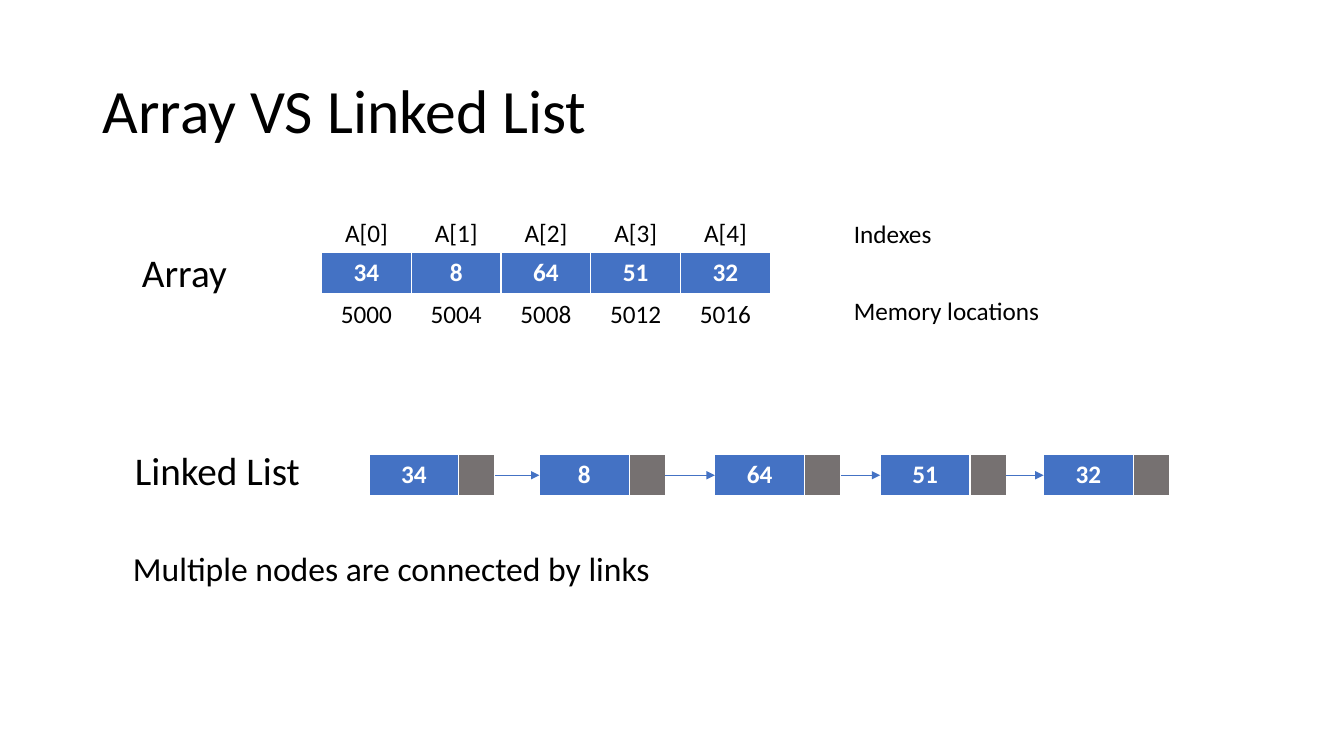
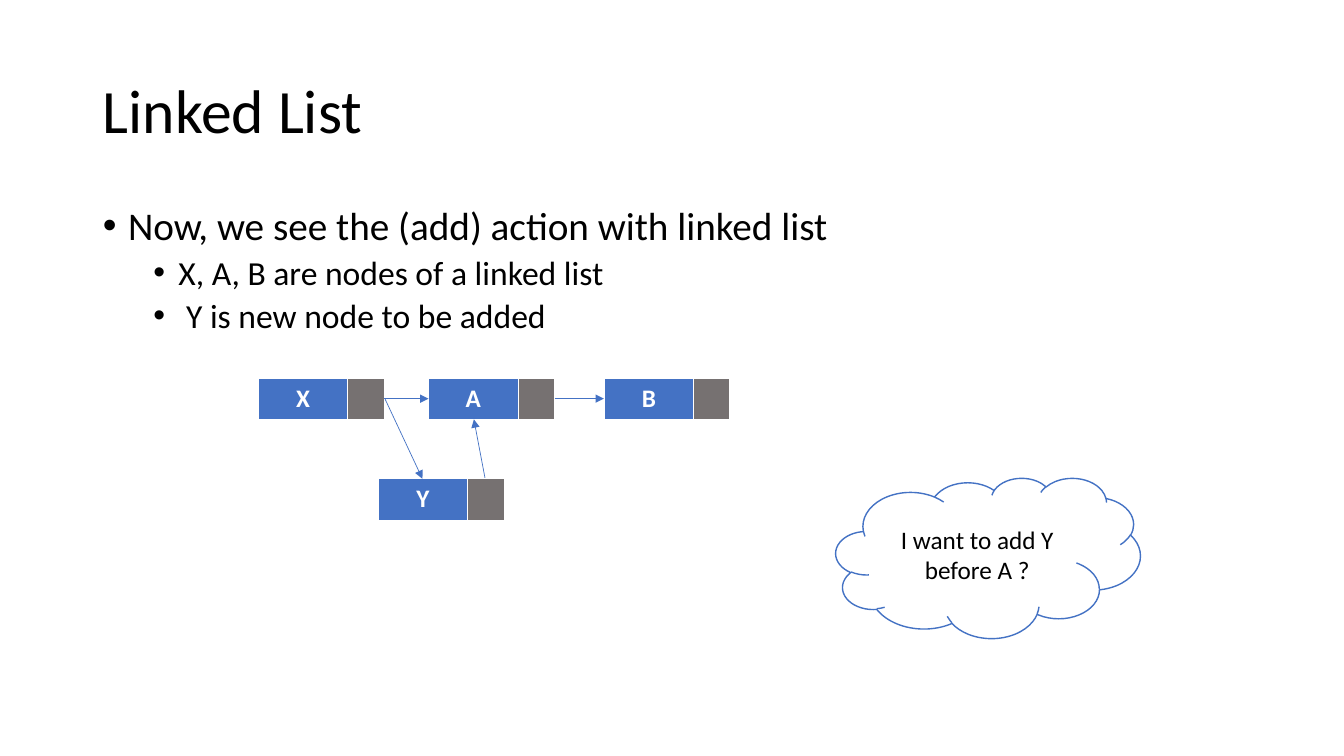
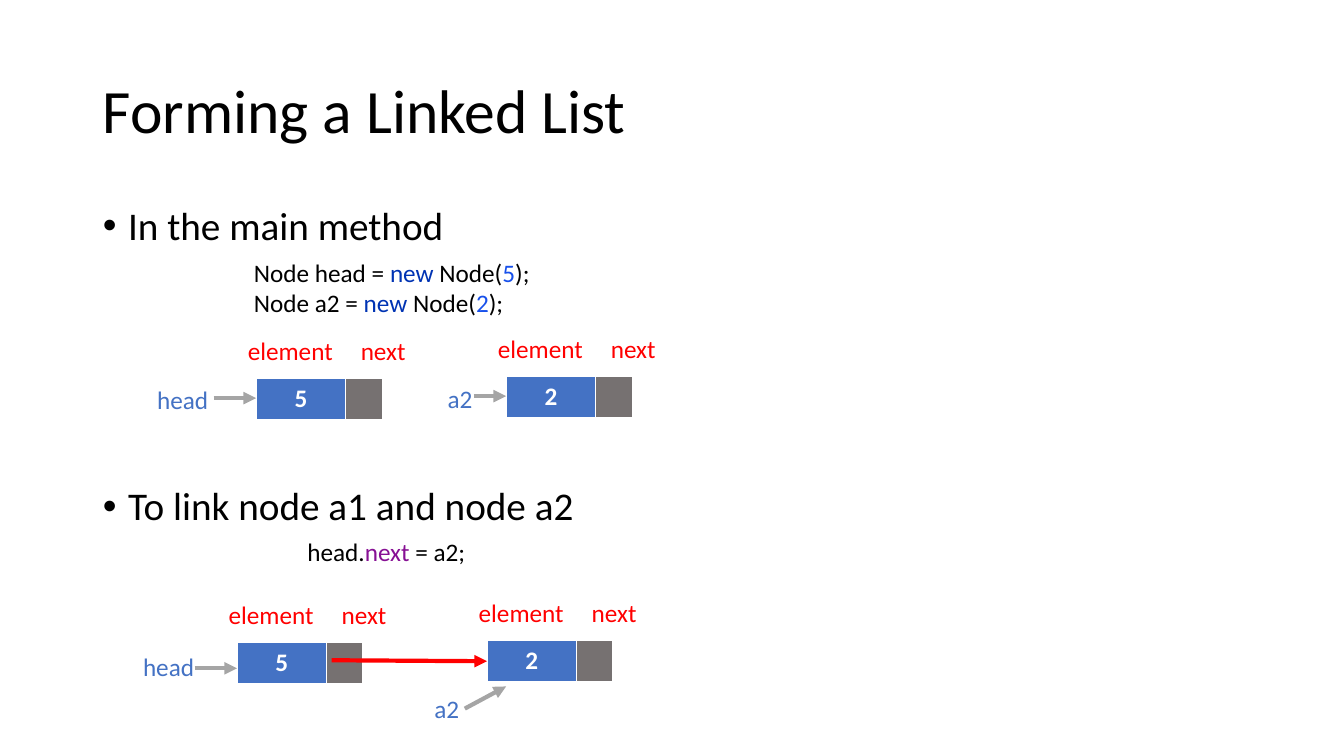
import pptx
import pptx.util
import pptx.dml.color
import pptx.enum.shapes
import pptx.enum.text
import pptx.oxml
import pptx.oxml.ns
from pptx.util import Inches, Pt

FONT = "Calibri"
BLACK, WHITE, RED = "000000", "FFFFFF", "FF0000"
BLUE, DARK, GREY = "4472C4", "767171", "A5A5A5"
WORD, NUM, FIELD = "0033B3", "1750EB", "871094"

DATA_W, LINK_W, NODE_H = 0.89, 0.36, 0.41
NODE_W = DATA_W + LINK_W
MID = NODE_H / 2

ALIGN = pptx.enum.text.PP_ALIGN
ANCHOR = pptx.enum.text.MSO_ANCHOR
SHAPE = pptx.enum.shapes.MSO_SHAPE
LINE = pptx.enum.shapes.MSO_CONNECTOR


def rgb(color):
    return pptx.dml.color.RGBColor.from_string(color)


def style(para, size=18, color=BLACK, bold=False, align=ALIGN.LEFT):
    para.alignment = align
    for run in para.runs:
        run.font.name = FONT
        run.font.size = Pt(size)
        run.font.bold = bold
        run.font.color.rgb = rgb(color)


def place(shape, left, top, width, height):
    shape.left, shape.top = Inches(left), Inches(top)
    shape.width, shape.height = Inches(width), Inches(height)


def child(parent, tag, **attrs):
    """Append an empty drawing element with the given attributes."""
    item = pptx.oxml.parse_xml(f"<a:{tag} {pptx.oxml.ns.nsdecls('a')}/>")
    for key, value in attrs.items():
        item.set(key, value)
    parent.append(item)


def start(prs, layout, title):
    """Add a slide with the shared title style."""
    slide = prs.slides.add_slide(prs.slide_layouts[layout])
    for shape in list(slide.placeholders):
        if shape.placeholder_format.idx >= 10:
            shape.element.getparent().remove(shape.element)
    head = slide.shapes.title
    place(head, 0.92, 0.4, 11.5, 1.45)
    frame = head.text_frame
    frame.text = title
    frame.auto_size = pptx.enum.text.MSO_AUTO_SIZE.NONE
    frame.vertical_anchor = ANCHOR.MIDDLE
    frame.paragraphs[0].line_spacing = 0.9
    style(frame.paragraphs[0], 44)
    return slide


def body(slide, items):
    """Fill the body with (text, level, space before) items."""
    shape = slide.placeholders[1]
    place(shape, 0.92, 2, 11.5, 4.76)
    frame = shape.text_frame
    frame.text = "\n".join(item[0] for item in items)
    frame.auto_size = pptx.enum.text.MSO_AUTO_SIZE.NONE
    for para, (_, level, gap) in zip(frame.paragraphs, items):
        para.level = level
        para.line_spacing = 0.9
        para.space_before = Pt(gap)
        style(para, 28 - 4 * level)
        props = para._p.get_or_add_pPr()
        props.set("marL", str(Inches(0.25 + 0.5 * level)))
        props.set("indent", str(Inches(-0.25)))
        child(props, "buFont", typeface="Arial")
        child(props, "buChar", char="•")


def label(slide, text, left, top, width, height=0.4, size=18, color=BLACK,
          align=ALIGN.LEFT):
    box = slide.shapes.add_textbox(0, 0, 0, 0)
    place(box, left, top, width, height)
    frame = box.text_frame
    frame.word_wrap = False
    frame.text = text
    style(frame.paragraphs[0], size, color, align=align)


def code(slide, left, top, lines):
    """Write lines of code, each a list of (text, colour) parts."""
    box = slide.shapes.add_textbox(0, 0, 0, 0)
    place(box, left, top, 6.67, 0.71)
    frame = box.text_frame
    frame.word_wrap = True
    for i, parts in enumerate(lines):
        para = frame.add_paragraph() if i else frame.paragraphs[0]
        for text, _ in parts:
            para.add_run().text = text
        style(para)
        for run, (_, color) in zip(para.runs, parts):
            run.font.color.rgb = rgb(color)


def cells(slide, left, top, width, words, fill):
    """Draw a one-row table with a cell of the given width for each word."""
    frame = slide.shapes.add_table(
        1, len(words), Inches(left), Inches(top),
        Inches(width * len(words)), Inches(NODE_H))
    for cell, word in zip(frame.table.rows[0].cells, words):
        cell.fill.solid()
        cell.fill.fore_color.rgb = rgb(fill)
        cell.text = word
        style(cell.text_frame.paragraphs[0], 18, WHITE, True, ALIGN.CENTER)


def node(slide, left, top, word):
    cells(slide, left, top, DATA_W, [word], BLUE)
    cells(slide, left + DATA_W, top, LINK_W, [""], DARK)


def arrow(slide, x1, y1, x2, y2, color=BLUE, width=0.5):
    line = slide.shapes.add_connector(
        LINE.STRAIGHT, Inches(x1), Inches(y1), Inches(x2), Inches(y2))
    line.line.color.rgb = rgb(color)
    line.line.width = Pt(width)
    props = line._element.spPr
    child(line.line._get_or_add_ln(), "tailEnd", type="triangle")
    child(props, "effectLst")


def chain(slide, top, lefts, words):
    """Draw nodes in a row, each linked to the next."""
    for left, word in zip(lefts, words):
        node(slide, left, top, word)
    for left, after in zip(lefts, lefts[1:]):
        arrow(slide, left + NODE_W, top + MID, after, top + MID)


def array(slide, left, top, words):
    cells(slide, left, top, DATA_W, words, BLUE)
    for i in range(len(words)):
        x = left + i * DATA_W
        label(slide, f"A[{i}]", x, top - 0.39, DATA_W, align=ALIGN.CENTER)
        label(slide, str(5000 + 4 * i), x, top + 0.41, DATA_W,
              align=ALIGN.CENTER)
    label(slide, "Indexes", left + 5.18, top - 0.38, 0.98)
    label(slide, "Memory locations", left + 5.18, top + 0.38, 2.06)


def cloud(slide, left, top, width, height, text):
    shape = slide.shapes.add_shape(SHAPE.CLOUD, 0, 0, 0, 0)
    place(shape, left, top, width, height)
    shape.shadow.inherit = False
    shape.fill.solid()
    shape.fill.fore_color.rgb = rgb(WHITE)
    shape.line.color.rgb = rgb(BLUE)
    shape.line.width = Pt(1)
    frame = shape.text_frame
    frame.word_wrap = True
    frame.vertical_anchor = ANCHOR.MIDDLE
    frame.text = text
    style(frame.paragraphs[0], align=ALIGN.CENTER)


def pair(slide, left, top):
    """Draw the nodes 5 and 2 with their field names above."""
    for x, y, word in ((left, top, "5"), (left + 2.48, top - 0.02, "2")):
        node(slide, x, y, word)
        label(slide, "element", x - 0.18, y - 0.47, 1.06, color=RED)
        label(slide, "next", x + 0.94, y - 0.47, 0.65, color=RED)


def versus(prs):
    slide = start(prs, 5, "Array VS Linked List")
    words = ["34", "8", "64", "51", "32"]
    label(slide, "Array", 1.31, 2.41, 1.14, 0.57, 28)
    array(slide, 3.19, 2.5, words)
    label(slide, "Linked List", 1.24, 4.38, 1.86, 0.57, 28)
    chain(slide, 4.51, [3.66, 5.35, 7.09, 8.73, 10.35], words)
    label(slide, "Multiple nodes are connected by links",
          1.22, 5.39, 5.38, 0.5, 24)


def adding(prs):
    slide = start(prs, 1, "Linked List")
    body(slide, [("Now, we see the (add) action with linked list", 0, 10),
                 ("X, A, B are nodes of a linked list", 1, 5),
                 (" Y is new node to be added", 1, 5)])
    cloud(slide, 8.29, 4.74, 3.02, 1.59, "I want to add Y before A ?")
    chain(slide, 3.75, [2.56, 4.25, 5.99], "XAB")
    node(slide, 3.75, 4.75, "Y")
    arrow(slide, 3.82, 3.96, 4.19, 4.75)
    arrow(slide, 4.81, 4.74, 4.7, 4.16)


def forming(prs):
    slide = start(prs, 1, "Forming a Linked List")
    body(slide, [("In the main method", 0, 10),
                 ("To link node a1 and node a2", 0, 170)])
    code(slide, 2.42, 2.5, [
        [(f"Node {name} = ", BLACK), ("new ", WORD), ("Node(", BLACK),
         (value, NUM), (");", BLACK)]
        for name, value in (("head", "5"), ("a2", "2"))])
    code(slide, 2.95, 5.27, [
        [("head.", BLACK), ("next ", FIELD), ("= a2;", BLACK)]])
    pair(slide, 2.54, 3.75)
    pair(slide, 2.35, 6.37)
    for left, top in ((1.46, 3.76), (1.32, 6.41)):
        label(slide, "head", left, top, 0.72, color=BLUE)
    for left, top in ((4.34, 3.75), (4.21, 6.83)):
        label(slide, "a2", left, top, 0.45, color=BLUE)
    arrow(slide, 3.29, 6.55, 4.83, 6.56, RED, 3)
    for ends in ((1.93, 6.63, 2.35, 6.63), (2.12, 3.95, 2.54, 3.95),
                 (4.7, 3.93, 5.02, 3.93), (4.61, 7.03, 5.02, 6.81)):
        arrow(slide, *ends, GREY, 3)


def main():
    prs = pptx.Presentation()
    prs.slide_width, prs.slide_height = Inches(13.33), Inches(7.5)
    versus(prs)
    adding(prs)
    forming(prs)
    prs.save("out.pptx")


if __name__ == "__main__":
    main()
